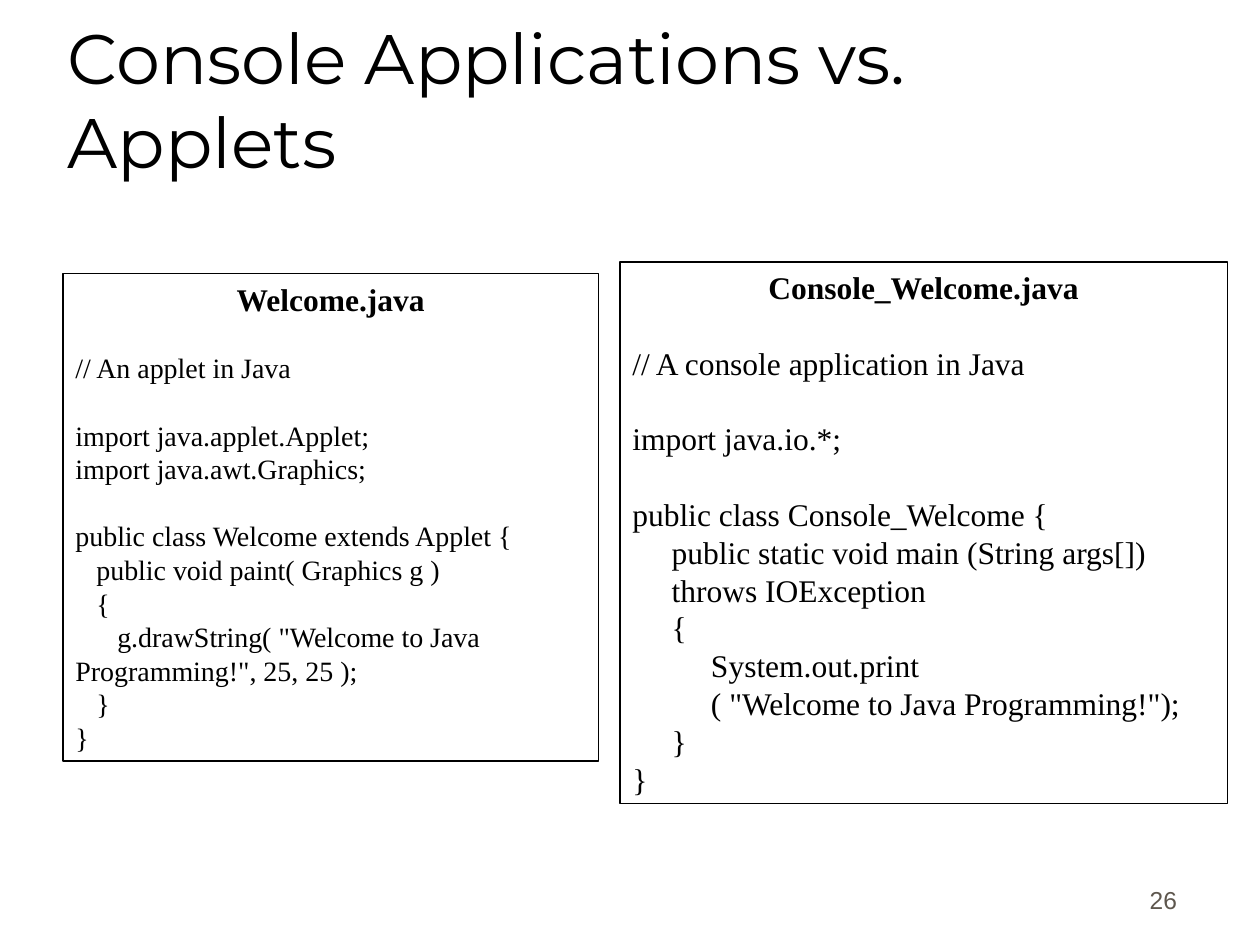
from pptx import Presentation
from pptx.dml.color import RGBColor
from pptx.enum import shapes, text
from pptx.util import Inches, Pt

BLACK = RGBColor(0x00, 0x00, 0x00)
GRAY = RGBColor(0x5E, 0x57, 0x4E)
CODE_FONT = "Times New Roman"
HEADING_SIZE = 18
LINE_HEIGHT = 1.2

APPLET_CODE = """\
// An applet in Java

import java.applet.Applet;
import java.awt.Graphics;

public class Welcome extends Applet {
   public void paint( Graphics g )
   {
      g.drawString( "Welcome to Java Programming!", 25, 25 );
   }
}"""

CONSOLE_CODE = """\
// A console application in Java

import java.io.*;

public class Console_Welcome {
     public static void main (String args[])
     throws IOException
     {
          System.out.print
          ( "Welcome to Java Programming!");
     }
}"""


def write(paragraph, content, font, size, color=BLACK, bold=False,
          align=text.PP_ALIGN.LEFT, line_height=None, space_before=0):
    paragraph.alignment = align
    paragraph.space_before = Pt(space_before)
    if line_height:
        paragraph.line_spacing = Pt(line_height)
    run = paragraph.add_run()
    run.text = content
    run.font.name = font
    run.font.size = Pt(size)
    run.font.bold = bold
    run.font.color.rgb = color


def add_label(slide, box, content, **style):
    """Add a text box whose text rests on its bottom edge."""
    frame = slide.shapes.add_textbox(*map(Inches, box)).text_frame
    frame.word_wrap = True
    frame.vertical_anchor = text.MSO_ANCHOR.BOTTOM
    write(frame.paragraphs[0], content, **style)


def add_code_panel(slide, box, file_name, code, size):
    """Add an outlined listing; empty code lines become space before the next."""
    panel = slide.shapes.add_shape(shapes.MSO_SHAPE.RECTANGLE, *map(Inches, box))
    panel.shadow.inherit = False
    panel.fill.background()
    panel.line.color.rgb = BLACK
    panel.line.width = Pt(0.75)
    frame = panel.text_frame
    frame.word_wrap = True
    frame.vertical_anchor = text.MSO_ANCHOR.TOP
    write(frame.paragraphs[0], file_name, CODE_FONT, HEADING_SIZE, bold=True,
          align=text.PP_ALIGN.CENTER, line_height=HEADING_SIZE * LINE_HEIGHT)

    line_height = size * LINE_HEIGHT
    gap = line_height
    for line in code.splitlines():
        if not line:
            gap = line_height
            continue
        write(frame.add_paragraph(), line, CODE_FONT, size,
              line_height=line_height, space_before=gap)
        gap = 0


def main():
    presentation = Presentation()
    presentation.slide_width = Inches(10)
    presentation.slide_height = Inches(7.5)
    slide = presentation.slides.add_slide(presentation.slide_layouts[6])

    add_label(slide, (0.44, 0.25, 8.5, 1.25), "Console Applications vs. Applets",
              font="Montserrat", size=40)
    add_code_panel(slide, (0.5, 2.17, 4.25, 3.87), "Welcome.java",
                   APPLET_CODE, size=16)
    add_code_panel(slide, (4.92, 2.08, 4.82, 4.3), "Console_Welcome.java",
                   CONSOLE_CODE, size=18)
    add_label(slide, (7.36, 6.81, 2.08, 0.5), "26", font="Arial", size=14,
              color=GRAY, align=text.PP_ALIGN.RIGHT)
    presentation.save("out.pptx")


if __name__ == "__main__":
    main()
